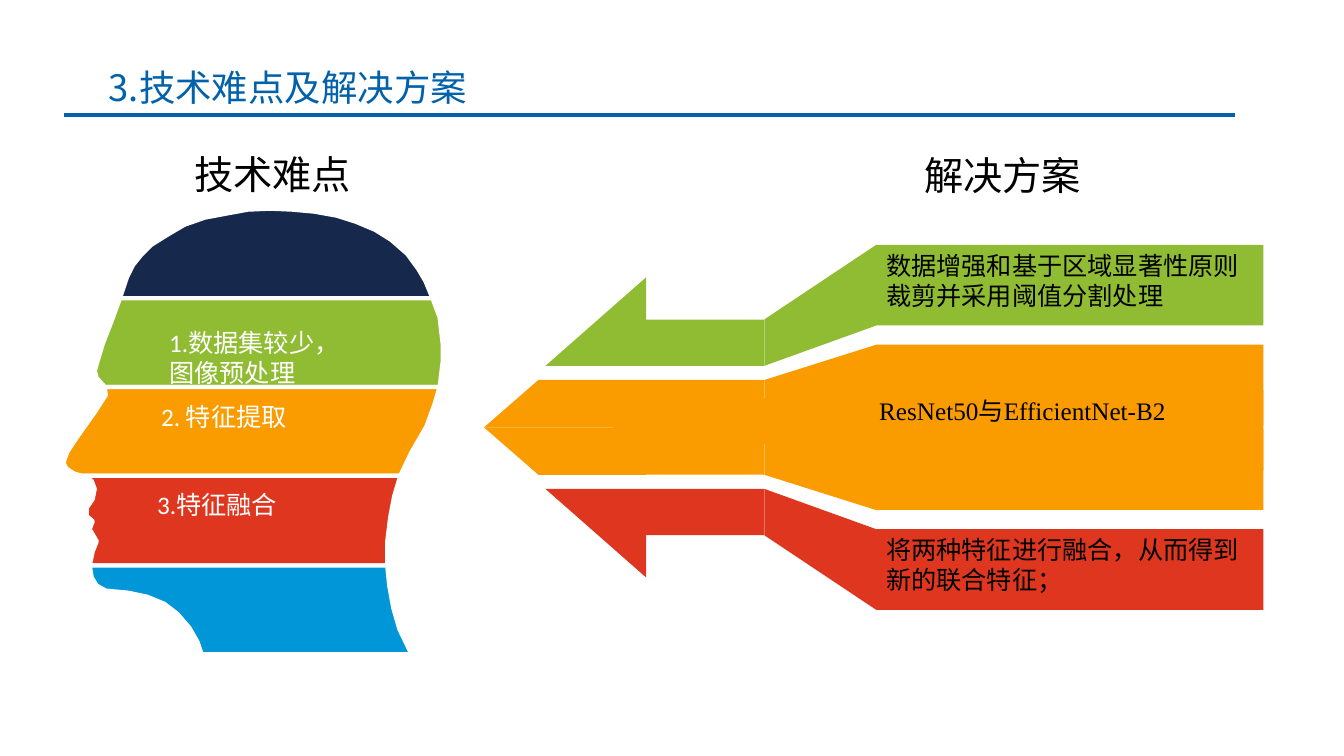
from pptx import Presentation, util as u
from pptx.dml.color import RGBColor
from pptx.enum import shapes, text
from pptx.oxml import parse_xml
from pptx.oxml.ns import nsdecls

THEME = {
    "blue": "0161AA", "navy": "16294C", "green": "90BC33", "orange": "FA9C00",
    "red": "DF361F", "sky": "0096D7", "white": "FFFFFF", "black": "000000",
    "title": 26, "heading": 28, "body": 18,
    "sans": "Calibri", "cjk": "Noto Sans CJK SC", "serif": "Times New Roman",
}

presentation = Presentation()
presentation.slide_width = u.Inches(13.33)
presentation.slide_height = u.Inches(7.5)
slide = presentation.slides.add_slide(presentation.slide_layouts[6])


def draw(points, color, border=None):
    corners = [(u.Inches(x), u.Inches(y)) for x, y in points]
    (left, top), (right, bottom) = corners[0], corners[2]
    if len(corners) == 4 and corners[1::2] == [(right, top), (left, bottom)]:
        shape = slide.shapes.add_shape(
            shapes.MSO_SHAPE.RECTANGLE, left, top, right - left, bottom - top)
    else:
        builder = slide.shapes.build_freeform(left, top, scale=1.0)
        builder.add_line_segments(corners[1:], close=True)
        shape = builder.convert_to_shape()
    shape.shadow.inherit = False
    shape.fill.solid()
    shape.fill.fore_color.rgb = RGBColor.from_string(THEME[color])
    shape.line.fill.background()
    if border:
        shape.line.color.rgb = RGBColor.from_string(THEME[border])
        shape.line.width = u.Pt(3)
    return shape


def write(shape, words, size, font, color, indent=0.1):
    frame = shape.text_frame
    frame_format = {
        "word_wrap": True, "vertical_anchor": text.MSO_ANCHOR.TOP,
        "margin_left": u.Inches(indent), "margin_right": u.Inches(0.1),
        "margin_top": u.Inches(0.05), "margin_bottom": u.Inches(0.05),
    }
    for name, value in frame_format.items():
        setattr(frame, name, value)
    paragraph = frame.paragraphs[0]
    paragraph.alignment = text.PP_ALIGN.LEFT
    run = paragraph.add_run()
    run.text = words
    for name, value in {"name": THEME[font], "size": u.Pt(THEME[size])}.items():
        setattr(run.font, name, value)
    run.font.color.rgb = RGBColor.from_string(THEME[color])
    run.font._element.append(
        parse_xml(f'<a:ea {nsdecls("a")} typeface="{THEME["cjk"]}"/>'))


rule = slide.shapes.add_connector(
    shapes.MSO_CONNECTOR.STRAIGHT,
    u.Inches(0.63), u.Inches(1.14), u.Inches(12.25), u.Inches(1.14))
rule.line.color.rgb = RGBColor.from_string(THEME["blue"])
rule.line.width = u.Pt(3)
rule._element.spPr.append(parse_xml(f'<a:effectLst {nsdecls("a")}/>'))

crown_front = [
    (2.46, 2.08), (2.24, 2.12), (2.03, 2.16), (1.83, 2.23), (1.66, 2.33),
    (1.5, 2.43), (1.4, 2.53), (1.32, 2.63), (1.26, 2.75), (1.19, 2.96)]
crown_back = [
    (2.9, 2.08), (3.12, 2.1), (3.34, 2.14), (3.53, 2.2), (3.72, 2.28),
    (3.88, 2.38), (4.04, 2.52), (4.15, 2.67), (4.22, 2.79), (4.29, 2.96)]
brow_front = [
    (1.11, 3.18), (1.02, 3.41), (0.96, 3.61), (0.94, 3.68), (0.96, 3.75),
    (1.04, 3.84)]
brow_back = [(4.36, 3.15), (4.39, 3.41), (4.39, 3.59), (4.36, 3.84)]
nose_front = [
    (1.05, 3.92), (0.94, 4.09), (0.77, 4.33), (0.67, 4.48), (0.63, 4.59),
    (0.66, 4.65), (0.74, 4.7), (0.82, 4.72)]
nose_back = [(4.31, 4.01), (4.23, 4.23), (4.08, 4.49), (3.97, 4.72)]
mouth_front = [
    (0.91, 4.77), (0.94, 4.85), (0.92, 4.95), (0.86, 5.04), (0.86, 5.12),
    (0.92, 5.17), (0.89, 5.25), (0.96, 5.37), (0.92, 5.47), (0.89, 5.61)]
mouth_back = [(3.91, 4.92), (3.87, 5.13), (3.84, 5.38), (3.84, 5.61)]
neck_front = [
    (0.91, 5.73), (0.96, 5.81), (1.05, 5.86), (1.27, 5.88), (1.46, 5.92),
    (1.63, 5.99), (1.76, 6.09), (1.88, 6.23), (1.96, 6.37), (2, 6.49)]
neck_back = [(3.86, 5.81), (3.9, 6.03), (3.96, 6.24), (4.08, 6.49)]

head_bands = [
    ("navy", crown_front, crown_back), ("green", brow_front, brow_back),
    ("orange", nose_front, nose_back), ("red", mouth_front, mouth_back),
    ("sky", neck_front, neck_back),
]
band_top = [(2.68, 2.07)]
for color, front, back in head_bands:
    draw(band_top + front + back[::-1], color, "white")
    band_top = [back[-1], front[-1]]

axis = 4.24
head_base, stem_end, panel_left, panel_right = 6.41, 7.58, 8.69, 12.53
outer_head = [(head_base, 2.75), (5.41, 3.63), (head_base, 3.63)]
inner_head = [(5.34, 3.77), (4.8, axis), (head_base, axis), (head_base, 3.77)]
arrows = [
    ("green", "red", outer_head, (3.17, 3.63), (2.43, 3.23)),
    ("orange", "orange", inner_head, (3.77, axis), (3.42, 4.22)),
]
panels = {}
for upper_color, lower_color, head, stem, panel in arrows:
    (stem_top, stem_bottom), (panel_top, panel_bottom) = stem, panel
    pieces = {
        "stem": [(head_base, stem_top), (stem_end, stem_top),
                 (stem_end, stem_bottom), (head_base, stem_bottom)],
        "bend": [(stem_end, stem_top), (panel_left, panel_top),
                 (panel_left, panel_bottom), (stem_end, stem_bottom)],
        "head": head,
        "panel": [(panel_left, panel_top), (panel_right, panel_top),
                  (panel_right, panel_bottom), (panel_left, panel_bottom)],
    }
    for name, points in pieces.items():
        upper = draw(points, upper_color)
        mirrored = [(x, round(2 * axis - y, 2)) for x, y in points]
        if name in ("stem", "panel"):
            mirrored = mirrored[::-1]
            mirrored = mirrored[0:1] + mirrored[1:]
        lower = draw(mirrored, lower_color)
        if name == "panel":
            panels[upper_color], panels[lower_color] = upper, lower

seam_covers = {"stem": (6.08, 3.95, 7.92, 4.41), "panel": (7.69, 3.87, 12.53, 4.67)}
for name, (left, top, right, bottom) in seam_covers.items():
    panels[name] = draw(
        [(left, top), (right, top), (right, bottom), (left, bottom)], "orange")

solutions = [
    ("green", "数据增强和基于区域显著性原则裁剪并采用阈值分割处理", "sans", 0.1),
    ("panel", "ResNet50与EfficientNet-B2", "serif", 1.03),
    ("red", "将两种特征进行融合，从而得到新的联合特征；", "cjk", 0.1),
]
for panel_name, words, font, indent in solutions:
    write(panels[panel_name], words, "body", font, "black", indent)

labels = [
    ("3.技术难点及解决方案", 0.98, 0.6, 8.09, 0.54, "title", "cjk", "blue"),
    ("技术难点", 1.83, 1.44, 1.83, 0.57, "heading", "sans", "black"),
    ("解决方案", 9.07, 1.45, 1.83, 0.57, "heading", "sans", "black"),
    ("1.数据集较少，图像预处理", 1.58, 3.2, 2.08, 0.71, "body", "sans", "white"),
    ("2. 特征提取", 1.5, 3.93, 2.76, 0.4, "body", "sans", "white"),
    ("3.特征融合", 1.46, 4.81, 2.57, 0.4, "body", "sans", "white"),
]
for words, left, top, width, height, size, font, color in labels:
    label = slide.shapes.add_textbox(
        u.Inches(left), u.Inches(top), u.Inches(width), u.Inches(height))
    write(label, words, size, font, color)

presentation.save("out.pptx")
